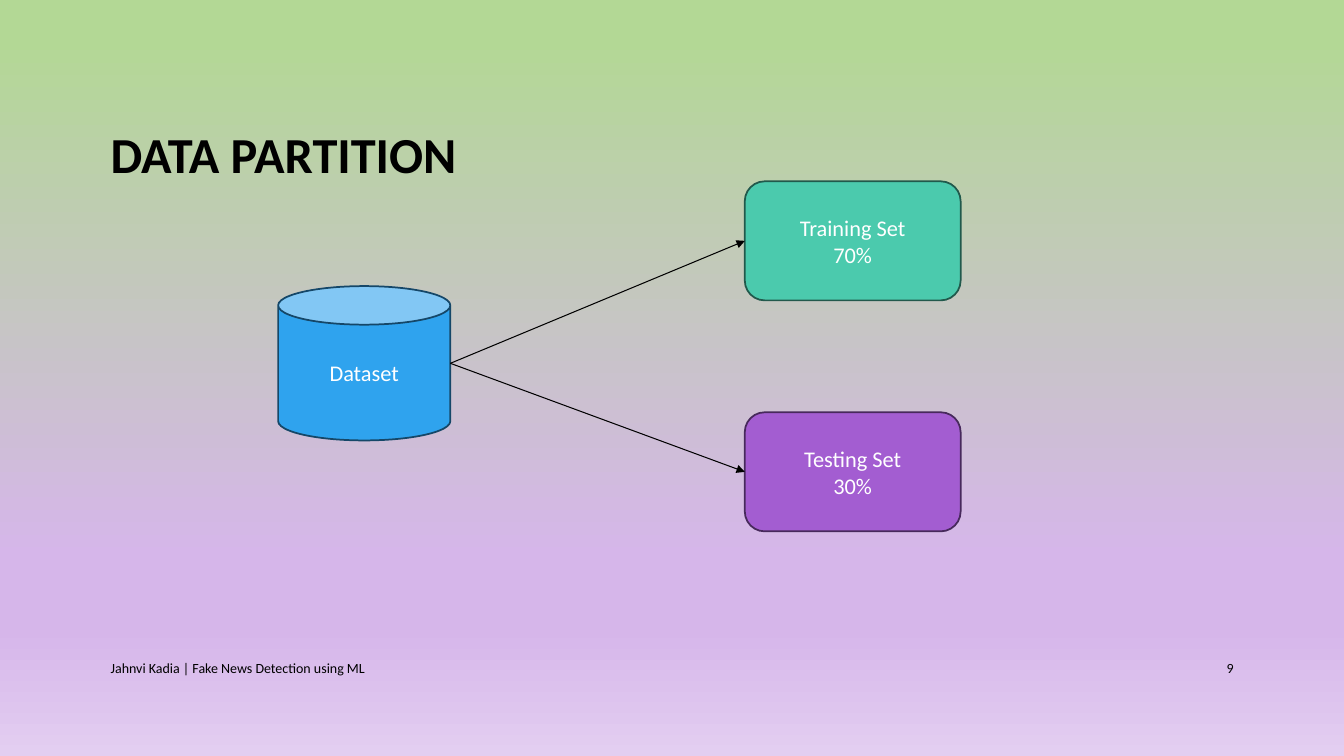
import lxml.etree
import pptx
import pptx.dml.color
import pptx.enum.shapes
import pptx.enum.text
import pptx.oxml.ns
import pptx.util

Cm, Pt = pptx.util.Cm, pptx.util.Pt
RGB = pptx.dml.color.RGBColor
SHAPE = pptx.enum.shapes.MSO_SHAPE
ALIGN = pptx.enum.text.PP_ALIGN
qn = pptx.oxml.ns.qn

BLACK = RGB(0x00, 0x00, 0x00)
WHITE = RGB(0xFF, 0xFF, 0xFF)
BLUE, BLUE_EDGE = RGB(0x2F, 0xA3, 0xEE), RGB(0x15, 0x47, 0x68)
TEAL, TEAL_EDGE = RGB(0x4B, 0xCA, 0xAD), RGB(0x21, 0x59, 0x4C)
PURPLE, PURPLE_EDGE = RGB(0xA3, 0x5D, 0xD1), RGB(0x47, 0x29, 0x5C)
GREEN_TOP = RGB(0xB3, 0xD8, 0x95)
LILAC = RGB(0xD6, 0xB6, 0xEA)
LILAC_PALE = RGB(0xE3, 0xCE, 0xF1)
BACKGROUND = [(5, GREEN_TOP), (74, LILAC), (83, LILAC), (100, LILAC_PALE)]


def write(s, lines, color, align, size, bold=False):
    tf = s.text_frame
    tf.word_wrap = True
    tf.vertical_anchor = pptx.enum.text.MSO_ANCHOR.MIDDLE
    for i, line in enumerate(lines):
        p = tf.paragraphs[0] if i == 0 else tf.add_paragraph()
        p.alignment = align
        r = p.add_run()
        r.text = line
        r.font.color.rgb = color
        for name, value in {"name": "Calibri", "size": Pt(size), "bold": bold}.items():
            setattr(r.font, name, value)


def add_text(slide, box, text, size, align=ALIGN.LEFT, bold=False):
    sp = slide.shapes.add_textbox(*map(Cm, box))
    write(sp, [text], BLACK, align, size, bold)
    return sp


def add_node(slide, kind, box, lines, fill, edge):
    sp = slide.shapes.add_shape(kind, *map(Cm, box))
    sp.shadow.inherit = False
    sp.fill.solid()
    sp.fill.fore_color.rgb = fill
    sp.line.color.rgb = edge
    sp.line.width = Pt(1.25)
    write(sp, lines, WHITE, ALIGN.CENTER, 16)
    return sp


def add_arrow(slide, source, target):
    x, y = source.left + source.width, source.top + source.height // 2
    line = slide.shapes.add_connector(
        pptx.enum.shapes.MSO_CONNECTOR.STRAIGHT, x, y, target.left, y)
    line.end_connect(target, 1)
    line.line.color.rgb = BLACK
    line.line.width = Pt(0.75)
    lxml.etree.SubElement(line.line._get_or_add_ln(), qn("a:tailEnd"), type="triangle")
    lxml.etree.SubElement(line._element.spPr, qn("a:effectLst"))


def paint_background(slide):
    fill = slide.background.fill
    fill.gradient()
    fill.gradient_angle = 270  # top to bottom
    stops = slide.background._cSld.find(".//" + qn("a:gsLst"))
    for stop in list(stops):
        stops.remove(stop)
    for percent, color in BACKGROUND:
        stop = lxml.etree.SubElement(stops, qn("a:gs"), pos=str(percent * 1000))
        lxml.etree.SubElement(stop, qn("a:srgbClr"), val=str(color))


def add_partition(slide, left, top, width, height):
    # Dataset, centred slightly above the middle of the diagram
    dataset = add_node(slide, SHAPE.CAN, (left, top + 2.64, 4.34, 3.89),
                       ["Dataset"], BLUE, BLUE_EDGE)
    # Subsets along the right edge, at the top and the bottom
    box_w, box_h = 5.44, 3
    subsets = [(["Training Set", "70%"], TEAL, TEAL_EDGE),
               (["Testing Set", "30%"], PURPLE, PURPLE_EDGE)]
    for i, (lines, fill, edge) in enumerate(subsets):
        box = (left + width - box_w, top + i * (height - box_h), box_w, box_h)
        subset = add_node(slide, SHAPE.FLOWCHART_ALTERNATE_PROCESS,
                          box, lines, fill, edge)
        add_arrow(slide, dataset, subset)


def add_footer(slide, left, top, width, height):
    add_text(slide, (left, top, 18.54, height),
             "Jahnvi Kadia | Fake News Detection using ML", 10)
    number_w = 2.13
    add_text(slide, (left + width - number_w, top, number_w, height),
             "9", 10, ALIGN.RIGHT)


def main():
    prs = pptx.Presentation()
    prs.slide_width, prs.slide_height = Cm(33.87), Cm(19.05)
    slide = prs.slides.add_slide(prs.slide_layouts[6])
    paint_background(slide)
    # Title
    title = add_text(slide, (2.54, 1.73, 28.78, 4.45), "DATA PARTITION", 36, bold=True)
    title.text_frame.paragraphs[0].line_spacing = 0.9
    # Diagram and footer
    add_partition(slide, 7.01, 4.57, 17.2, 8.82)
    add_footer(slide, 2.54, 16.33, 28.8, 1.02)
    prs.save("out.pptx")


if __name__ == "__main__":
    main()
